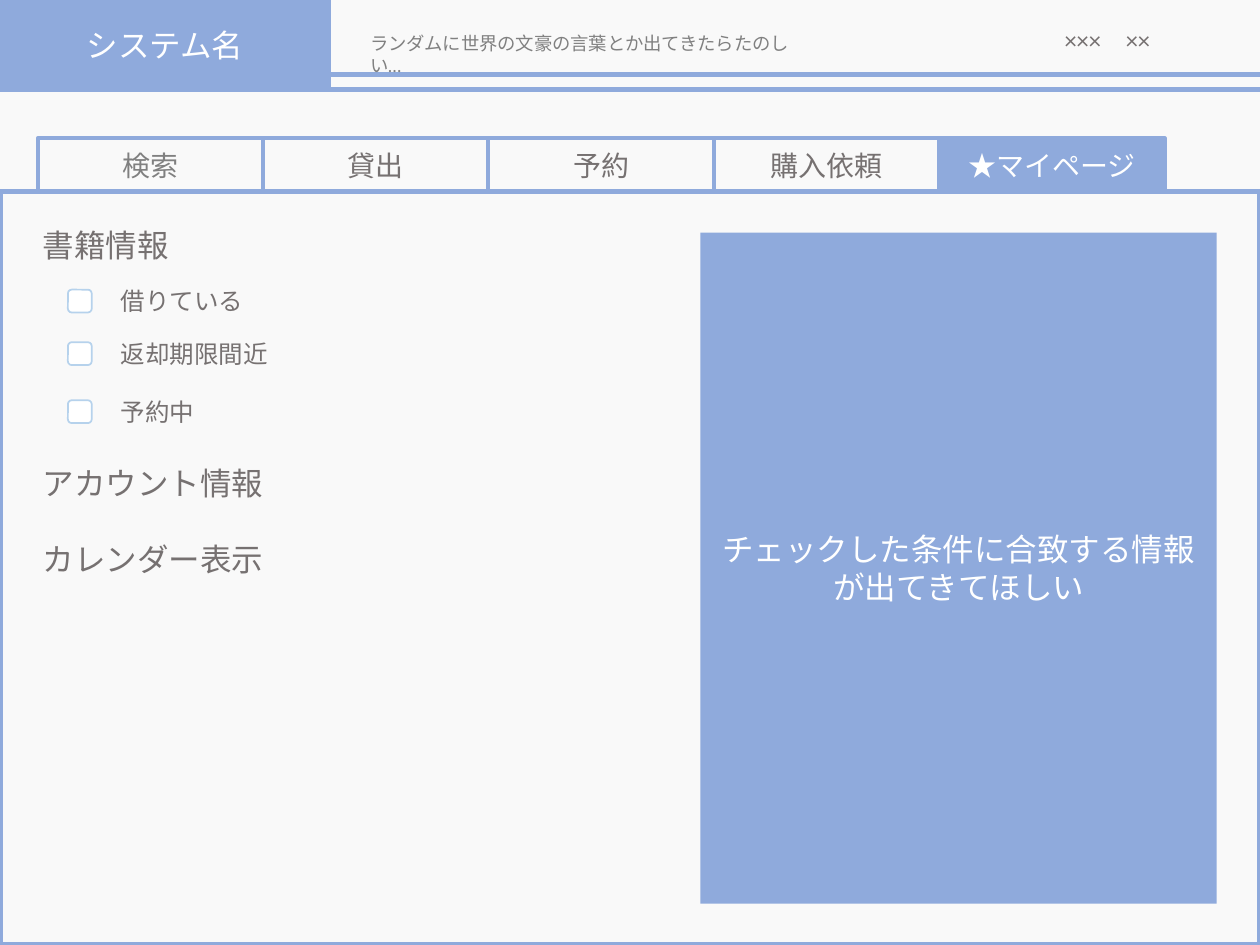
from lxml import etree
from pptx import Presentation
from pptx.dml.color import RGBColor
from pptx.enum.shapes import MSO_CONNECTOR, MSO_SHAPE
from pptx.enum.text import MSO_ANCHOR, MSO_AUTO_SIZE, PP_ALIGN
from pptx.oxml.ns import qn
from pptx.util import Cm, Pt

RECTANGLE = MSO_SHAPE.RECTANGLE
ROUNDED = MSO_SHAPE.ROUNDED_RECTANGLE
STRAIGHT = MSO_CONNECTOR.STRAIGHT
MIDDLE = MSO_ANCHOR.MIDDLE
CENTER = PP_ALIGN.CENTER
NO_FIT = MSO_AUTO_SIZE.NONE
GROW = MSO_AUTO_SIZE.SHAPE_TO_FIT_TEXT

BLUE = RGBColor(0x8F, 0xAA, 0xDC)
PALE_BLUE = RGBColor(0xB6, 0xD2, 0xEC)
WHITE = RGBColor(0xFF, 0xFF, 0xFF)
PAPER = RGBColor(0xF9, 0xF9, 0xF9)
GRAY = RGBColor(0x76, 0x71, 0x71)
LIGHT_GRAY = RGBColor(0x80, 0x80, 0x80)

JAPANESE = "Noto Sans CJK JP"
LATIN = "Calibri"
WIDTH, HEIGHT = 25.4, 19.05


def add_run(paragraph, text, size, color, font):
    """Add one run with its font set for Latin and East Asian text."""
    run = paragraph.add_run()
    run.text = text
    run.font.size = Pt(size)
    run.font.color.rgb = color
    run.font.name = font
    east_asian = etree.SubElement(run._r.get_or_add_rPr(), qn("a:ea"))
    east_asian.set("typeface", font)


def center_text(shape, text, size, color):
    """Write text in the middle of a shape."""
    frame = shape.text_frame
    frame.word_wrap = True
    frame.auto_size = NO_FIT
    frame.vertical_anchor = MIDDLE
    paragraph = frame.paragraphs[0]
    paragraph.alignment = CENTER
    add_run(paragraph, text, size, color, JAPANESE)


def paint(shape, fill, line, line_width):
    """Set fill and outline; None means there is none."""
    for part, color in ((shape.fill, fill), (shape.line.fill, line)):
        if color is None:
            part.background()
        else:
            part.solid()
            part.fore_color.rgb = color
    if line is not None:
        shape.line.width = Pt(line_width)


def add_box(slide, kind, left, top, width, height, fill, line=None, line_width=1):
    """Add a flat preset shape."""
    shape = slide.shapes.add_shape(kind, Cm(left), Cm(top), Cm(width), Cm(height))
    shape.shadow.inherit = False
    paint(shape, fill, line, line_width)
    return shape


def add_label(slide, text, left, top, width, height, size,
              color=GRAY, font=JAPANESE, wrap=False):
    """Add a left-aligned text box."""
    box = slide.shapes.add_textbox(Cm(left), Cm(top), Cm(width), Cm(height))
    box.text_frame.word_wrap = wrap
    box.text_frame.auto_size = GROW
    add_run(box.text_frame.paragraphs[0], text, size, color, font)


def add_rule(slide, left, top, width):
    """Add a horizontal blue rule."""
    rule = slide.shapes.add_connector(
        STRAIGHT, Cm(left), Cm(top), Cm(left + width), Cm(top))
    rule.line.color.rgb = BLUE
    rule.line.width = Pt(3)
    etree.SubElement(rule._element.spPr, qn("a:effectLst"))


def add_header(slide, left, top, width):
    """Place the system name, the quotation, the user text and two rules."""
    title = slide.shapes.title
    title.left, title.top = Cm(left), Cm(top)
    title.width, title.height = Cm(6.65), Cm(1.8)
    paint(title, BLUE, BLUE, 1)
    center_text(title, "システム名", 18, WHITE)
    for offset in (1.5, 1.8):
        add_rule(slide, left, top + offset, width)
    add_label(slide, "ランダムに世界の文豪の言葉とか出てきたらたのしい…",
              left + 7.21, top + 0.53, 9.14, 0.71, 10.5, LIGHT_GRAY, LATIN, True)
    add_label(slide, "×××\u3000××", left + 21.21, top + 0.38, 3.33, 0.86, 14,
              font=LATIN)


def add_tabs(slide, left, top, width, height):
    """Place a row of equal tabs, the last one selected."""
    names = ("検索", "貸出", "予約", "購入依頼", "★マイページ")
    colors = (LIGHT_GRAY, GRAY, GRAY, GRAY, WHITE)
    tab_width = width / len(names)
    for index, (name, color) in enumerate(zip(names, colors)):
        fill = BLUE if color == WHITE else None
        tab = add_box(slide, RECTANGLE, left + index * tab_width, top,
                      tab_width, height, fill, BLUE, 2.25)
        center_text(tab, name, 16, color)


def add_menu(slide, left, top):
    """Place the section headings and the check box rows."""
    headings = (("書籍情報", 0, 3.07), ("アカウント情報", 4.78, 5.0),
                ("カレンダー表示", 6.32, 5.0))
    for text, offset, width in headings:
        add_label(slide, text, left, top + offset, width, 1.02, 18)
    options = (("借りている", 1.2, 3.0), ("返却期限間近", 2.26, 3.5),
               ("予約中", 3.43, 2.0))
    for text, offset, width in options:
        add_box(slide, ROUNDED, left + 0.76, top + offset + 0.2, 0.48, 0.46,
                WHITE, PALE_BLUE)
        add_label(slide, text, left + 1.57, top + offset, width, 0.86, 14)


def add_page(slide, left, top, width, height):
    """Place the page frame with its menu and result area."""
    add_box(slide, RECTANGLE, left, top, width, height, None, BLUE, 3)
    add_menu(slide, left + 0.61, top + 0.58)
    result = add_box(slide, RECTANGLE, left + 14.12, top + 0.83, 10.41, 13.53, BLUE)
    center_text(result, "チェックした条件に合致する情報が出てきてほしい", 18, WHITE)


def main():
    """Build and save the slide."""
    presentation = Presentation()
    presentation.slide_width, presentation.slide_height = Cm(WIDTH), Cm(HEIGHT)
    slide = presentation.slides.add_slide(presentation.slide_layouts[5])
    slide.background.fill.solid()
    slide.background.fill.fore_color.rgb = PAPER
    add_page(slide, 0, 3.86, WIDTH, HEIGHT - 3.86)
    add_header(slide, 0, 0, WIDTH)
    add_tabs(slide, 0.76, 2.79, 22.72, 1.07)
    presentation.save("out.pptx")


main()
